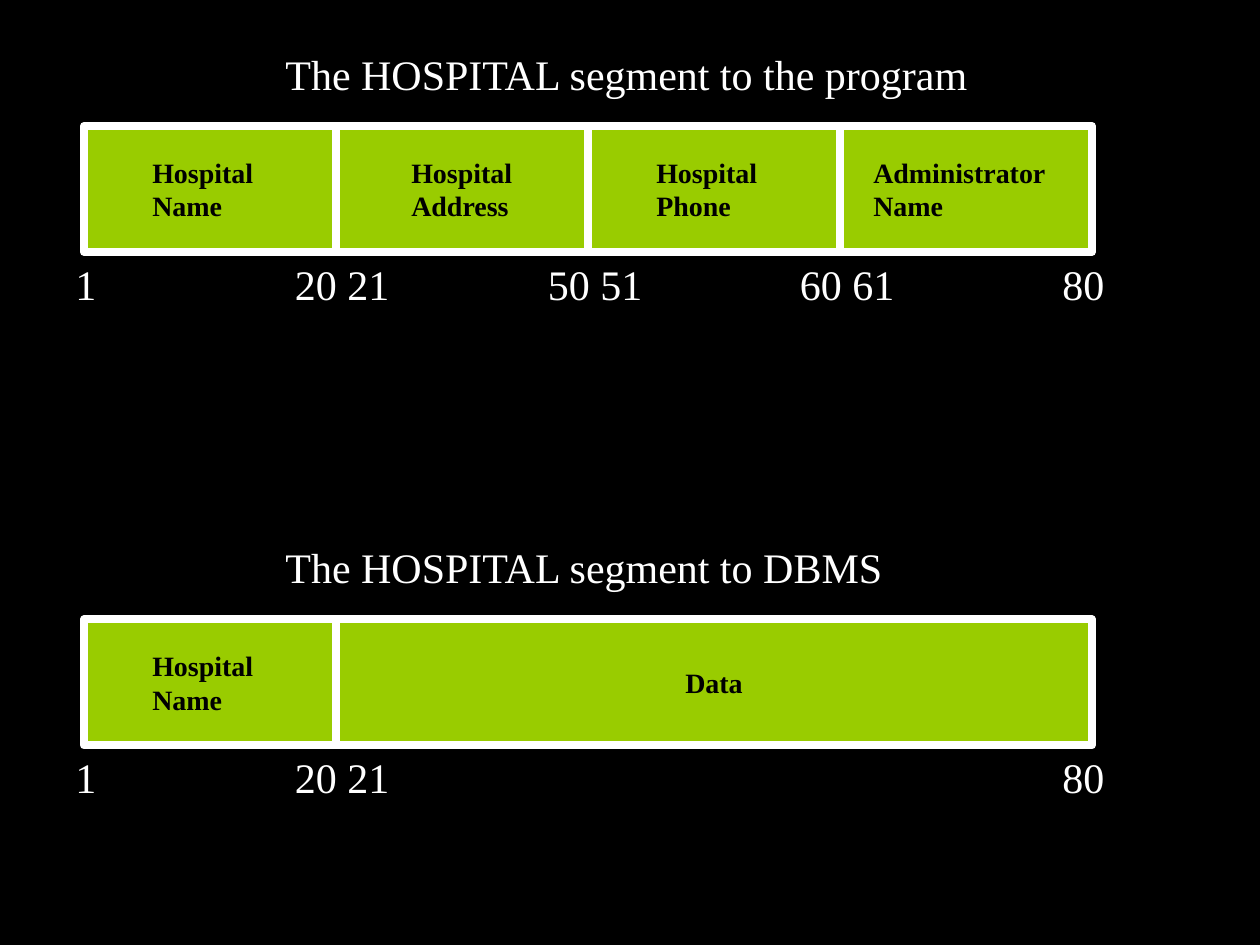
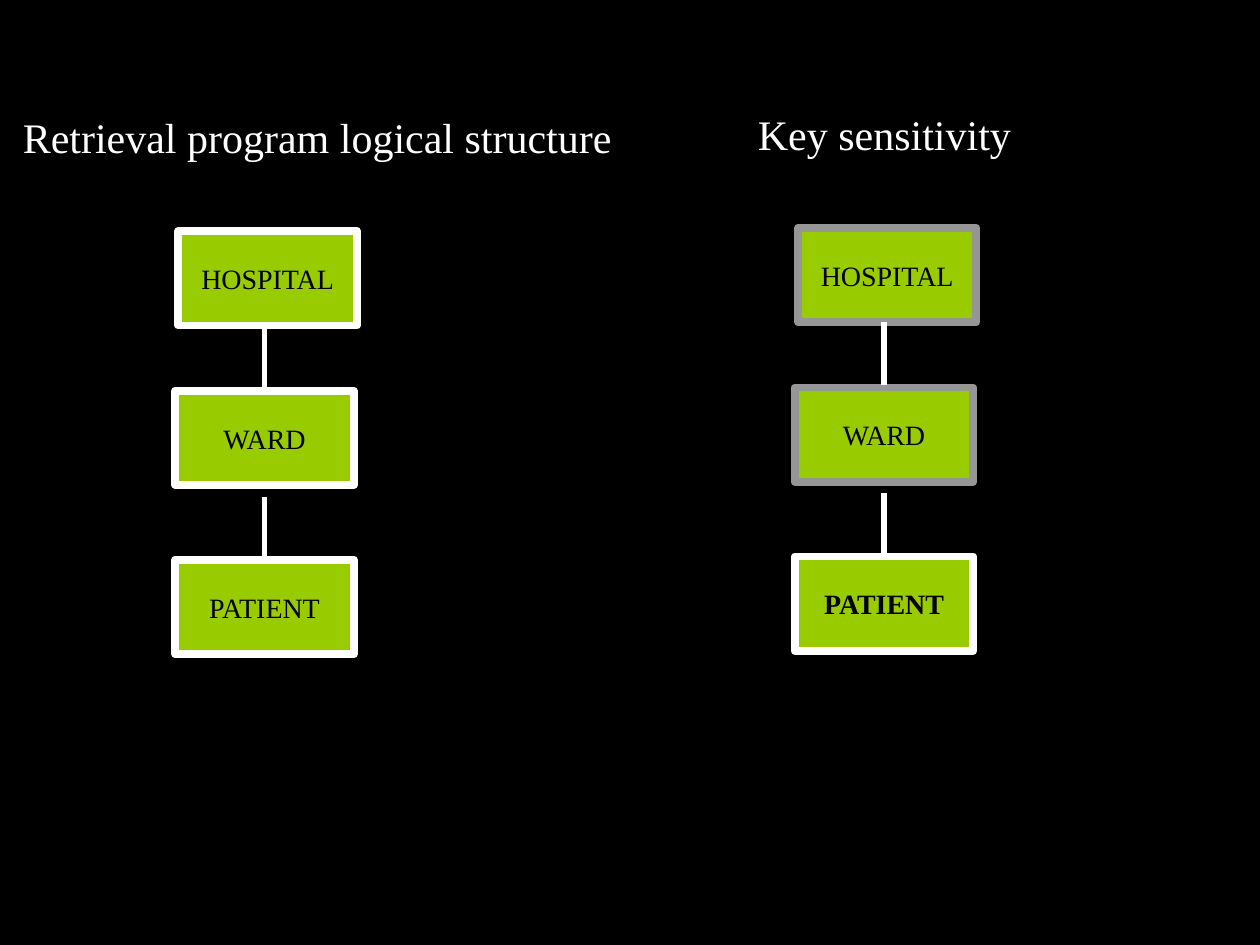
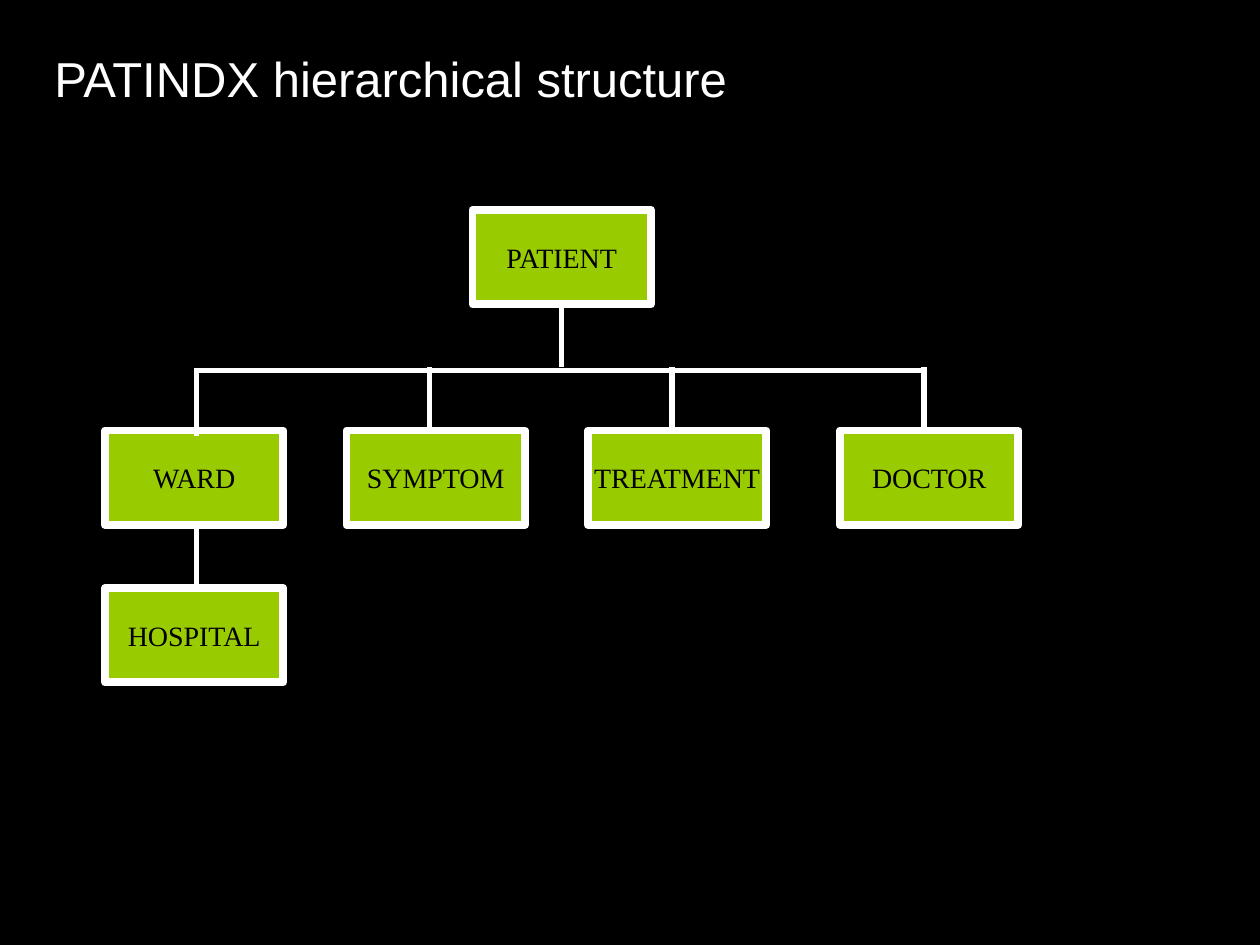
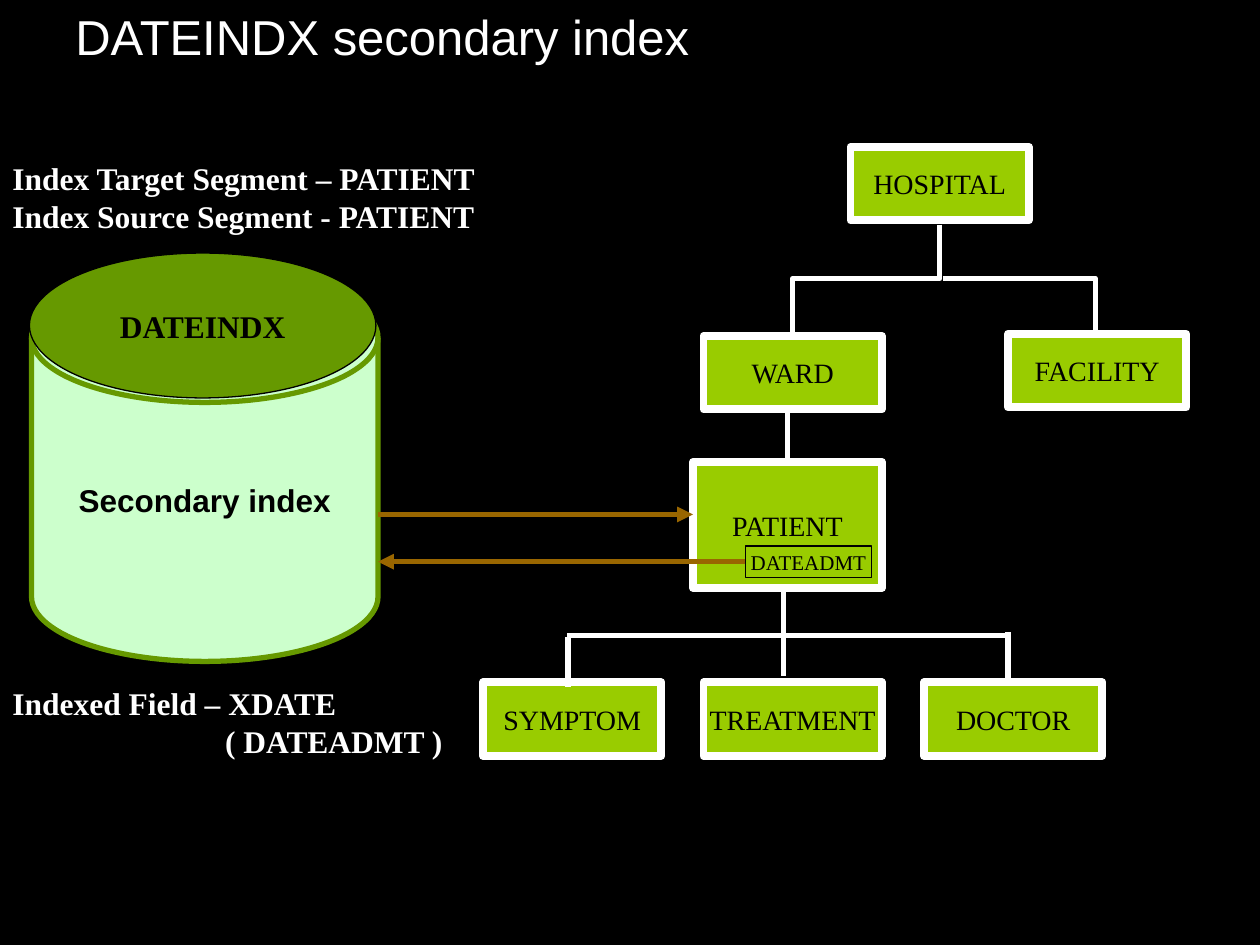
from lxml.etree import SubElement
from pptx import Presentation
from pptx.dml.color import RGBColor
from pptx.enum.shapes import MSO_CONNECTOR, MSO_SHAPE
from pptx.enum.text import MSO_ANCHOR, PP_ALIGN
from pptx.oxml.ns import qn
from pptx.util import Inches, Pt

COLORS = {
    "back": "000000", "ink": "000000", "light": "FFFFFF", "box": "99CC00",
    "muted": "969696", "disk": "CCFFCC", "lid": "669900", "arrow": "996600",
}
SERIF, SANS = "Times New Roman", "Arial"
COLS, ROWS = 120, 90
BOX_W, BOX_H = 17, 9


class Deck:
    """Holds the style and the current slide, measured on a 120 by 90 grid."""

    def __init__(self):
        self.prs = Presentation()
        self.prs.slide_width, self.prs.slide_height = Inches(10), Inches(7.5)
        self.s = None

    def x(self, cols):
        return round(self.prs.slide_width * cols / COLS)

    def y(self, rows):
        return round(self.prs.slide_height * rows / ROWS)

    def area(self, x, y, w, h):
        return self.x(x), self.y(y), self.x(w), self.y(h)

    def color(self, name):
        return RGBColor.from_string(COLORS[name])

    def slide(self):
        self.s = self.prs.slides.add_slide(self.prs.slide_layouts[6])
        fill = self.s.background.fill
        fill.solid()
        fill.fore_color.rgb = self.color("back")

    def add_lines(self, tf, lines, size, color, font=SERIF, bold=False,
                  align=PP_ALIGN.LEFT, indents=(), tabs=()):
        for i, line in enumerate(lines):
            p = tf.add_paragraph() if i else tf.paragraphs[0]
            p.alignment = align
            pPr = p._p.get_or_add_pPr()
            if indents:
                pPr.set("marL", str(self.x(indents[i])))
                pPr.set("indent", "0")
            if tabs:
                stops = SubElement(pPr, qn("a:tabLst"))
                for tab in tabs:
                    SubElement(stops, qn("a:tab"), pos=str(self.x(tab)), algn="l")
            r = p.add_run()
            r.text = line
            r.font.size, r.font.name, r.font.bold = Pt(size), font, bold
            r.font.color.rgb = self.color(color)

    def text(self, x, y, w, h, lines, size=24, **style):
        tf = self.s.shapes.add_textbox(*self.area(x, y, w, h)).text_frame
        tf.word_wrap = True
        self.add_lines(tf, lines, size, "light", **style)

    def title(self, x, y, w, words):
        self.text(x, y, w, 6.8, [words], 28, font=SANS)

    def shape(self, x, y, w, h, lines, kind=MSO_SHAPE.RECTANGLE, fill="box",
              line="light", weight=4.5, size=16, indent=None, **style):
        sp = self.s.shapes.add_shape(kind, *self.area(x, y, w, h))
        sp.shadow.inherit = False
        sp.fill.solid()
        sp.fill.fore_color.rgb = self.color(fill)
        sp.line.color.rgb = self.color(line)
        sp.line.width = Pt(weight)
        tf = sp.text_frame
        tf.vertical_anchor = MSO_ANCHOR.MIDDLE
        tf.word_wrap = indent is not None
        if indent is None:
            style["align"] = PP_ALIGN.CENTER
        else:
            style["indents"] = [indent] * len(lines)
        self.add_lines(tf, lines, size, "ink", **style)

    def box(self, x, y, name, w=BOX_W, h=BOX_H, **style):
        self.shape(x, y, w, h, [name], **style)

    def line(self, x1, y1, x2, y2, color="light", arrow=False,
             kind=MSO_CONNECTOR.STRAIGHT):
        sp = self.s.shapes.add_connector(
            kind, self.x(x1), self.y(y1), self.x(x2), self.y(y2))
        sp.line.color.rgb = self.color(color)
        sp.line.width = Pt(3)
        spPr = sp._element.spPr
        if arrow:
            SubElement(spPr.find(qn("a:ln")), qn("a:tailEnd"), type="triangle")
        SubElement(spPr, qn("a:effectLst"))
        return spPr

    def drop(self, x, y, length):
        self.line(x, y, x, y + length)

    def step_down(self, x1, y1, x2, y2):
        cx, cy = (x1 + x2) / 2, (y1 + y2) / 2
        w, h = (y2 - y1) / 2, (x1 - x2) / 2
        spPr = self.line(cx - w, cy - h, cx + w, cy + h, kind=MSO_CONNECTOR.ELBOW)
        spPr.find(qn("a:xfrm")).set("rot", "5400000")

    def corner(self, x1, y1, x2, y2):
        spPr = self.line(x1, y1, x2, y2, kind=MSO_CONNECTOR.ELBOW)
        spPr.find(qn("a:prstGeom")).set("prst", "bentConnector2")


def segment_slide(d):
    d.slide()
    fields = [("Name", 5.33), ("Address", 6), ("Phone", 5.33), ("Name", 2)]
    owners = ["Hospital"] * 3 + ["Administrator"]
    parts = [([owner, field], indent) for owner, (field, indent) in zip(owners, fields)]
    stops = [20.9, 45, 69, 94]
    views = [
        (0, "program", "the program", parts, ["1", "20 21", "50 51", "60 61", "80"], stops),
        (47, "database", "DBMS", parts[:1], ["1", "20 21", "80"], [stops[0], stops[-1]]),
    ]
    for top, view, reader, cells, marks, tabs in views:
        for i, (lines, indent) in enumerate(cells):
            d.shape(8 + 24 * i, 12 + top, 24, 12, lines, bold=True, indent=indent)
        if view == "database":
            d.shape(32, 12 + top, 72, 12, ["Data"], bold=True)
        d.text(26, 4 + top, 69, 6, [f"The HOSPITAL segment to {reader}"])
        d.text(6, 24 + top, 101, 6, ["\t".join(marks)], tabs=tabs)


def sensitivity_slide(d):
    d.slide()
    panels = [
        (0, 0, "light", False, 1, 60, "Retrieval program logical structure"),
        (59, -0.3, "muted", True, 71, 27, "Key sensitivity"),
    ]
    for dx, dy, parent, bold, title_x, title_w, words in panels:
        d.box(16.7 + dx, 37.2 + dy, "WARD", line=parent)
        d.box(16.7 + dx, 53.3 + dy, "PATIENT", bold=bold)
        d.box(17 + dx, 22 + dy, "HOSPITAL", line=parent)
        for top in (31, 47.3):
            d.drop(25.2 + dx, top + dy, 6)
        d.text(title_x, 10 + dy, title_w, 6, [words])


def hierarchy_slide(d):
    d.slide()
    children = zip((10, 33, 56, 80), ("WARD", "SYMPTOM", "TREATMENT", "DOCTOR"))
    for x, name in children:
        d.box(x, 41, name)
    d.box(45, 20, "PATIENT")
    d.box(10, 56, "HOSPITAL")
    d.title(4, 4, 68, "PATINDX hierarchical structure")
    for x, y in ((53.5, 29), (40.9, 35), (64, 35), (88, 35), (18.7, 35.5), (18.7, 50)):
        d.drop(x, y, 6)
    d.line(18.5, 35.3, 88.3, 35.3)


def index_slide(d):
    d.slide()
    d.shape(3, 26, 33, 37, ["Secondary index"], MSO_SHAPE.FLOWCHART_MAGNETIC_DISK,
            "disk", "lid", 3, 18, font=SANS, bold=True)
    d.title(6, 0, 74, "DATEINDX secondary index")
    d.shape(2.8, 24.1, 33, 13.8, ["DATEINDX"], MSO_SHAPE.OVAL,
            "lid", "ink", 0.75, 18, bold=True)
    d.text(0, 14.6, 52, 8.4, ["Index Target Segment – PATIENT",
                              "Index Source Segment - PATIENT"], 18, bold=True)
    d.text(0, 64.6, 44, 8.4, ["Indexed Field – XDATE", "( DATEADMT )"], 18,
           bold=True, indents=(0, 20.25))
    for x, y, name in ((67, 32, "WARD"), (96, 31.8, "FACILITY"), (81, 14, "HOSPITAL")):
        d.box(x, y, name, h=7)
    d.box(66, 44, "PATIENT", w=18, h=12)
    for i, name in enumerate(("SYMPTOM", "TREATMENT", "DOCTOR")):
        d.box(46 + 21 * i, 65, name, h=7)
    for x, y, length in ((54.1, 60.7, 4.7), (74.6, 56, 8.4), (96, 60.2, 4.8), (75, 39.2, 4.8)):
        d.drop(x, y, length)
    d.line(54, 60.5, 96, 60.5)
    d.step_down(89.5, 21.4, 75.5, 31.7)
    d.corner(89.8, 26.5, 104.3, 31.6)
    d.box(71, 52, "DATEADMT", w=12, h=3, line="ink", weight=1, size=12)
    d.line(71, 53.5, 36, 53.5, "arrow", arrow=True)
    d.line(36, 49, 66, 49, "arrow", arrow=True)


def main():
    d = Deck()
    for build in (segment_slide, sensitivity_slide, hierarchy_slide, index_slide):
        build(d)
    d.prs.save("out.pptx")


if __name__ == "__main__":
    main()
